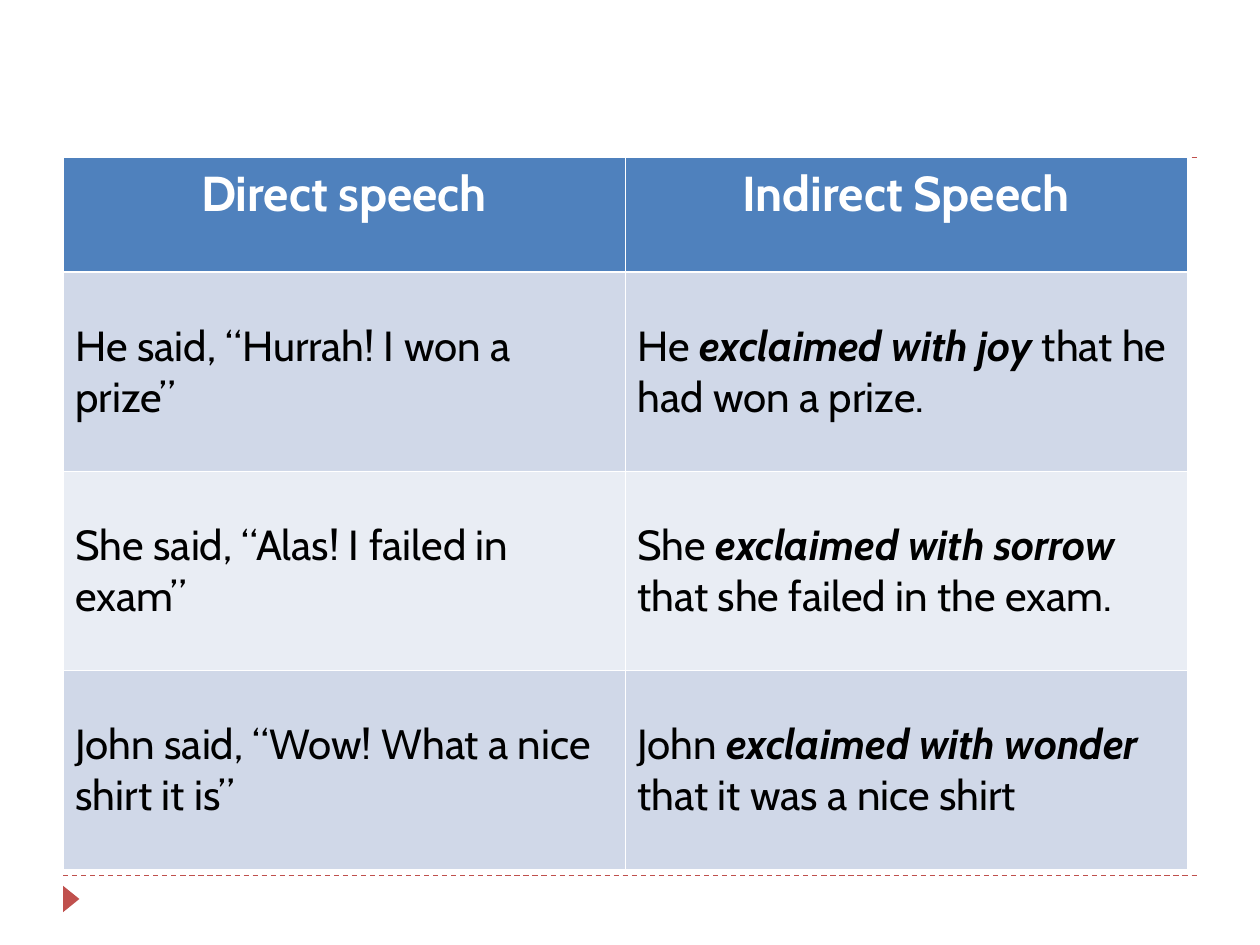
from lxml.etree import SubElement
from pptx import Presentation
from pptx.dml.color import RGBColor
from pptx.enum.dml import MSO_LINE
from pptx.enum.shapes import MSO_CONNECTOR, MSO_SHAPE
from pptx.enum.text import MSO_ANCHOR, PP_ALIGN
from pptx.oxml import parse_xml
from pptx.oxml.ns import nsdecls, qn
from pptx.util import Inches, Pt

HEADERS = ["Direct speech", "Indirect Speech"]
EXAMPLES = [
    ("He said, “Hurrah! I won a prize”",
     ("He ", "exclaimed with joy", " that he had won a prize.")),
    ("She said, “Alas! I failed in exam”",
     ("She ", "exclaimed with sorrow", " that she failed in the exam.")),
    ("John said, “Wow! What a nice shirt it is”",
     ("John ", "exclaimed with wonder", " that it was a nice shirt")),
]
FONT = "Cabin"
ACCENT, HEADER_FILL, BANDS = "C0504D", "4F81BD", ("D0D8E8", "E9EDF4")
RULE_TOPS = (6.95, 1.25)
LEFT, TOP, COL_WIDTH, HEADER_HEIGHT, ROW_HEIGHT = 0.5, 1.25, 4.46, 0.91, 1.58
THIN, THICK = 0.45, 1.47


def rgb(value):
    """Turn a hex string into a colour."""
    return RGBColor.from_string(value)


def add_rule(slide, top):
    """Draw a dashed rule across the slide."""
    line = slide.shapes.add_connector(
        MSO_CONNECTOR.STRAIGHT, Inches(0.5), Inches(top), Inches(9.5), Inches(top))
    line.line.color.rgb = rgb(ACCENT)
    line.line.width = Pt(0.75)
    line.line.dash_style = MSO_LINE.DASH
    SubElement(line._element.spPr, qn("a:effectLst"))


def add_marker(slide):
    """Draw the triangle in the footer."""
    s = slide.shapes.add_shape(
        MSO_SHAPE.ISOSCELES_TRIANGLE, Inches(0.46), Inches(7.07), Inches(0.21), Inches(0.13))
    s.rotation = 90
    s.shadow.inherit = False
    s.fill.solid()
    s.fill.fore_color.rgb = rgb(ACCENT)
    s.line.fill.background()


def style_cell(cell, fill, top, bottom):
    """Give a cell its white borders and its fill."""
    tcPr = cell._tc.get_or_add_tcPr()
    for side, width in (("L", THIN), ("R", THIN), ("T", top), ("B", bottom)):
        tcPr.append(parse_xml(
            f'<a:ln{side} {nsdecls("a")} w="{Pt(width)}"><a:solidFill>'
            f'<a:srgbClr val="FFFFFF"/></a:solidFill></a:ln{side}>'))
    cell.fill.solid()
    cell.fill.fore_color.rgb = rgb(fill)


def write_cell(cell, parts, size, color, bold=False):
    """Write the parts of a cell, with every second part in bold italic."""
    p = cell.text_frame.paragraphs[0]
    for i, part in enumerate(parts):
        r = p.add_run()
        r.text = part
        r.font.name = FONT
        r.font.size = Pt(size)
        r.font.color.rgb = rgb(color)
        r.font.bold = bold or i % 2 == 1
        r.font.italic = i % 2 == 1
    return p


def add_speech_table(slide):
    """Build the table of direct and indirect speech."""
    height = HEADER_HEIGHT + ROW_HEIGHT * len(EXAMPLES)
    table = slide.shapes.add_table(
        len(EXAMPLES) + 1, len(HEADERS), Inches(LEFT), Inches(TOP),
        Inches(COL_WIDTH * len(HEADERS)), Inches(height)).table
    for row in table.rows:
        row.height = Inches(ROW_HEIGHT)
    table.rows[0].height = Inches(HEADER_HEIGHT)
    for col, header in enumerate(HEADERS):
        table.columns[col].width = Inches(COL_WIDTH)
        cell = table.cell(0, col)
        style_cell(cell, HEADER_FILL, THIN, THICK)
        write_cell(cell, [header], 28, "FFFFFF", bold=True).alignment = PP_ALIGN.CENTER
    for row, (direct, indirect) in enumerate(EXAMPLES, 1):
        for col, parts in enumerate(([direct], indirect)):
            cell = table.cell(row, col)
            style_cell(cell, BANDS[(row - 1) % 2], THICK if row == 1 else THIN, THIN)
            cell.vertical_anchor = MSO_ANCHOR.MIDDLE
            write_cell(cell, parts, 24, "000000")


def main():
    """Build and save the slide."""
    prs = Presentation()
    prs.slide_width, prs.slide_height = Inches(10), Inches(7.5)
    slide = prs.slides.add_slide(prs.slide_layouts[6])
    for top in RULE_TOPS:
        add_rule(slide, top)
    add_marker(slide)
    add_speech_table(slide)
    prs.save("out.pptx")


if __name__ == "__main__":
    main()
